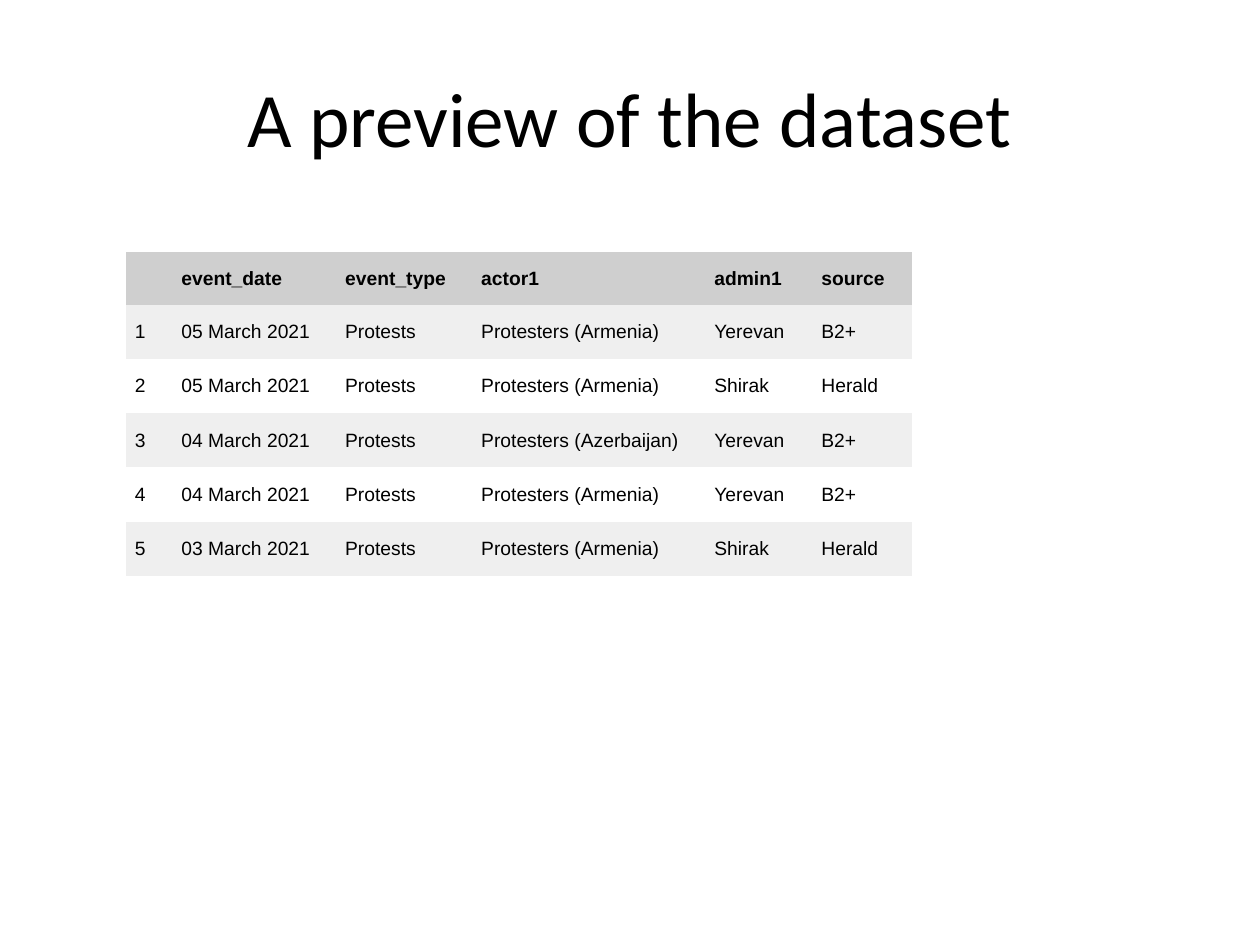
from pptx import Presentation
from pptx.dml.color import RGBColor
from pptx.enum.text import MSO_ANCHOR, PP_ALIGN
from pptx.oxml.ns import qn
from pptx.util import Inches, Pt

MIDDLE = MSO_ANCHOR.MIDDLE
CENTER = PP_ALIGN.CENTER
COLORS = {"text": "000000", "header": "CFCFCF", "band": "EFEFEF"}
PLAIN_STYLE = "{2D5ABB26-0587-4C30-8999-92F81FD0307C}"

deck = Presentation()
deck.slide_width, deck.slide_height = Inches(10), Inches(7.5)
slide = deck.slides.add_slide(deck.slide_layouts[6])


def across(share):
    return round(deck.slide_width * share)


def add_span(para, text, **font_format):
    span = para.add_run()
    span.text = text
    span.font.color.rgb = RGBColor.from_string(COLORS["text"])
    for name, value in font_format.items():
        setattr(span.font, name, value)


# Title
title = slide.shapes.add_textbox(
    across(0.05), round(deck.slide_height * 0.04), across(0.9), across(0.125)
)
title.text_frame.word_wrap = True
title.text_frame.vertical_anchor = MIDDLE
title_para = title.text_frame.paragraphs[0]
title_para.alignment = CENTER
add_span(title_para, "A preview of the dataset", name="Calibri", size=Pt(44))

# Dataset: date, actor country, region and source differ from row to row
header = ["", "event_date", "event_type", "actor1", "admin1", "source"]
events = [
    ("05", "Armenia", "Yerevan", "B2+"),
    ("05", "Armenia", "Shirak", "Herald"),
    ("04", "Azerbaijan", "Yerevan", "B2+"),
    ("04", "Armenia", "Yerevan", "B2+"),
    ("03", "Armenia", "Shirak", "Herald"),
]
rows = [header] + [
    [str(number), f"{day} March 2021", "Protests", f"Protesters ({country})", region, source]
    for number, (day, country, region, source) in enumerate(events, 1)
]

# Table grid, as shares of the slide's width
column_shares = [0.037, 0.13, 0.108, 0.185, 0.085, 0.079]
row_shares = [0.042] + [0.043] * len(events)
frame = slide.shapes.add_table(
    len(rows), len(header),
    across(0.1), across(0.2), across(sum(column_shares)), across(sum(row_shares)),
)
frame.element.find(".//" + qn("a:tableStyleId")).text = PLAIN_STYLE
table = frame.table
table.horz_banding = False
for column, share in zip(table.columns, column_shares):
    column.width = across(share)
for row, share in zip(table.rows, row_shares):
    row.height = across(share)

# Cells
cell_format = {
    "margin_left": across(0.007), "margin_right": 0,
    "margin_top": 0, "margin_bottom": 0, "vertical_anchor": MIDDLE,
}
para_format = {"space_before": Pt(5), "space_after": Pt(5)}
for row_index, row in enumerate(rows):
    for column_index, text in enumerate(row):
        cell = table.cell(row_index, column_index)
        for name, value in cell_format.items():
            setattr(cell, name, value)
        if row_index == 0 or row_index % 2:
            cell.fill.solid()
            fill_name = "band" if row_index else "header"
            cell.fill.fore_color.rgb = RGBColor.from_string(COLORS[fill_name])
        else:
            cell.fill.background()
        if text:
            para = cell.text_frame.paragraphs[0]
            for name, value in para_format.items():
                setattr(para, name, value)
            add_span(para, text, name="Arial", size=Pt(11), bold=row_index == 0)

deck.save("out.pptx")
